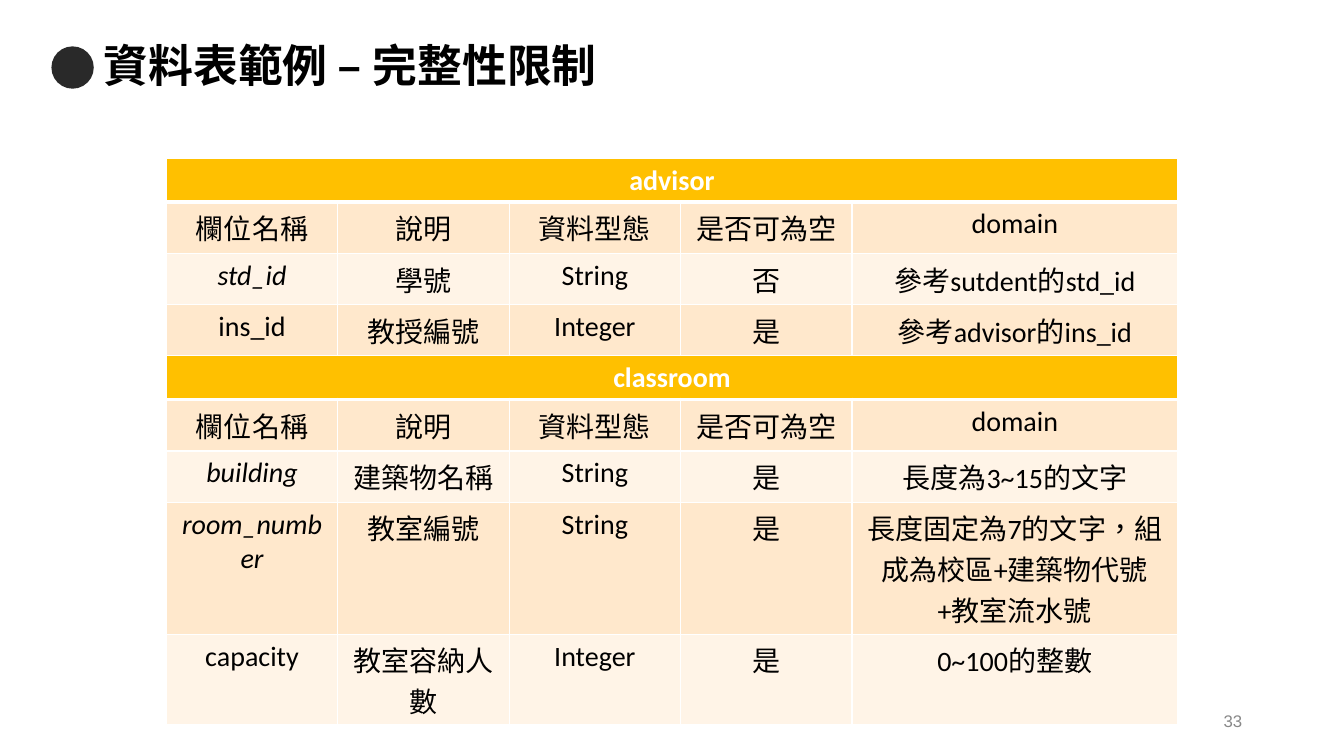
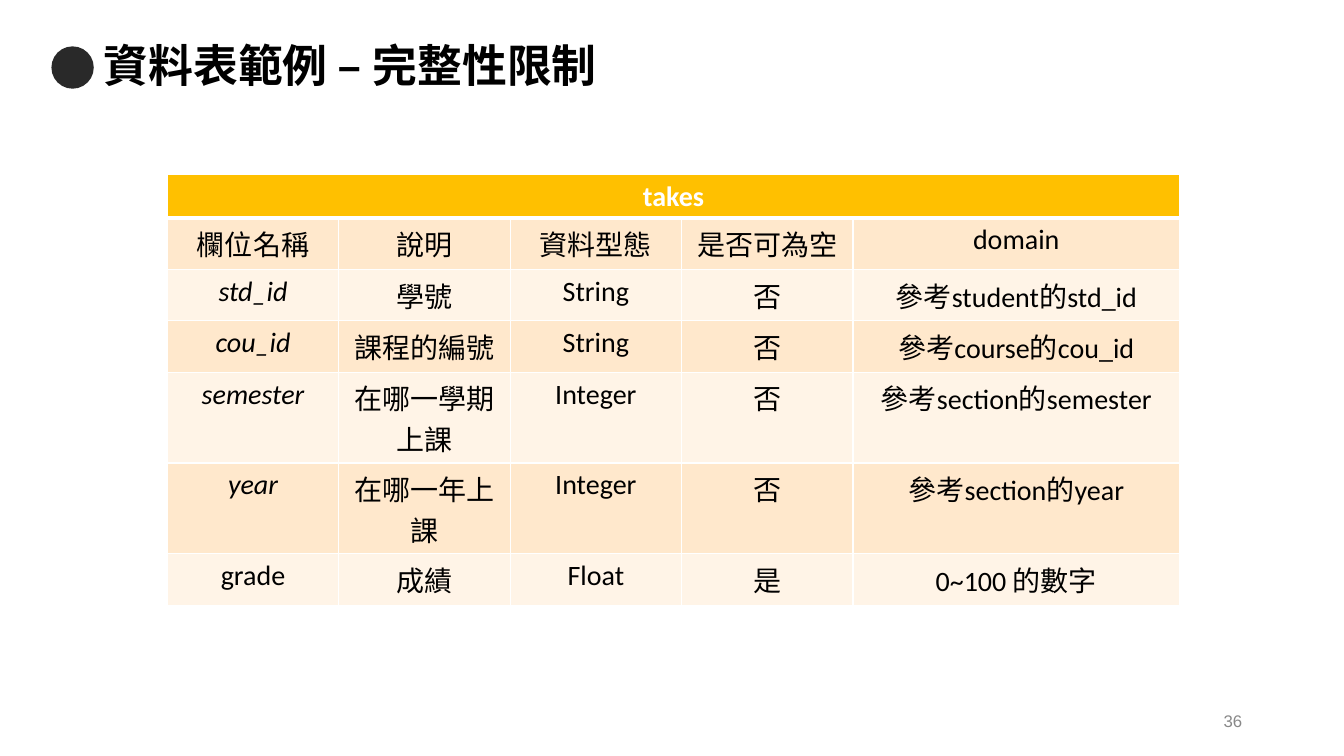
from dataclasses import dataclass

import lxml.etree
import pptx
import pptx.dml.color
import pptx.enum.lang
import pptx.enum.shapes
import pptx.enum.text
import pptx.oxml.ns
import pptx.util

Inches = pptx.util.Inches
Pt = pptx.util.Pt
Align = pptx.enum.text.PP_ALIGN

COLORS = {
    "bullet": "292929",
    "text": "000000",
    "number": "888888",
    "white": "FFFFFF",
    "header": "FFC000",
    "band_dark": "FFE8CC",
    "band_light": "FFF4E7",
}
TITLE = "資料表範例 – 完整性限制"
HEADINGS = ("欄位名稱", "說明", "資料型態", "是否可為空", "domain")
NARROW_COLUMN = 1.7
HEADER_HEIGHT = 0.43
HEIGHT_BY_LINES = {1: 0.51, 2: 0.9, 3: 1.31}


@dataclass(frozen=True)
class Field:
    name: str
    meaning: str
    data_type: str
    nullable: str
    domain: str
    is_key: bool = False
    lines: int = 1

    def texts(self) -> tuple[str, ...]:
        return self.name, self.meaning, self.data_type, self.nullable, self.domain


@dataclass(frozen=True)
class Schema:
    name: str
    left: float
    top: float
    domain_width: float
    fields: tuple[Field, ...]


@dataclass(frozen=True)
class Page:
    number: int
    schemas: tuple[Schema, ...]


PAGES = (
    Page(33, (
        Schema("advisor", 1.65, 1.57, 3.23, (
            Field("std_id", "學號", "String", "否", "參考sutdent的std_id", True),
            Field("ins_id", "教授編號", "Integer", "是", "參考advisor的ins_id"),
        )),
        Schema("classroom", 1.65, 3.53, 3.23, (
            Field("building", "建築物名稱", "String", "是", "長度為3~15的文字", True),
            Field("room_number", "教室編號", "String", "是",
                  "長度固定為7的文字，組成為校區+建築物代號+教室流水號", True, lines=3),
            Field("capacity", "教室容納人數", "Integer", "是", "0~100的整數", lines=2),
        )),
    )),
    Page(36, (
        Schema("takes", 1.66, 1.73, 3.24, (
            Field("std_id", "學號", "String", "否", "參考student的std_id", True),
            Field("cou_id", "課程的編號", "String", "否", "參考course的cou_id", True),
            Field("semester", "在哪一學期上課", "Integer", "否", "參考section的semester",
                  True, lines=2),
            Field("year", "在哪一年上課", "Integer", "否", "參考section的year", True, lines=2),
            Field("grade", "成績", "Float", "是", "0~100 的數字"),
        )),
    )),
)


def rgb(name: str) -> pptx.dml.color.RGBColor:
    return pptx.dml.color.RGBColor.from_string(COLORS[name])


def write(frame, text: str, size: int, color: str, align: Align, face: str = "Calibri",
          bold: bool = False, italic: bool = False):
    para = frame.paragraphs[0]
    para.text = text
    para.alignment = align
    font = para.font
    font.name = face
    font.size = Pt(size)
    font.bold = bold
    font.italic = italic
    font.color.rgb = rgb(color)
    font.language_id = pptx.enum.lang.MSO_LANGUAGE_ID.TRADITIONAL_CHINESE
    return para


def add_text_box(slide, left: float, top: float, width: float, height: float):
    box = slide.shapes.add_textbox(Inches(left), Inches(top), Inches(width), Inches(height))
    frame = box.text_frame
    frame.word_wrap = True
    frame.vertical_anchor = pptx.enum.text.MSO_ANCHOR.MIDDLE
    return frame


def add_frame(slide, number: int) -> None:
    dot = slide.shapes.add_shape(pptx.enum.shapes.MSO_SHAPE.OVAL, Inches(0.51), Inches(0.46),
                                 Inches(0.42), Inches(0.42))
    dot.shadow.inherit = False
    dot.fill.solid()
    dot.fill.fore_color.rgb = rgb("bullet")
    dot.line.fill.background()
    title = write(add_text_box(slide, 0.93, 0.35, 11.49, 0.64), TITLE, 32, "text",
                  Align.LEFT, bold=True)
    title.line_spacing = 0.9
    write(add_text_box(slide, 9.42, 6.95, 3, 0.4), str(number), 12, "number",
          Align.RIGHT, face="Arial")


def set_borders(cell, top: int, bottom: int) -> None:
    qn = pptx.oxml.ns.qn
    properties = cell._tc.get_or_add_tcPr()
    for side, width in (("L", 1), ("R", 1), ("T", top), ("B", bottom)):
        line = lxml.etree.SubElement(properties, qn(f"a:ln{side}"), w=str(Pt(width)))
        fill = lxml.etree.SubElement(line, qn("a:solidFill"))
        lxml.etree.SubElement(fill, qn("a:srgbClr"), val=COLORS["white"])


def style_cell(cell, fill: str, top: int = 1, bottom: int = 1) -> None:
    set_borders(cell, top, bottom)
    cell.fill.solid()
    cell.fill.fore_color.rgb = rgb(fill)


def add_schema(slide, schema: Schema) -> None:
    widths = [NARROW_COLUMN] * (len(HEADINGS) - 1) + [schema.domain_width]
    rows = [(HEADINGS, False)] + [(field.texts(), field.is_key) for field in schema.fields]
    heights = [HEADER_HEIGHT, HEIGHT_BY_LINES[1]]
    heights += [HEIGHT_BY_LINES[field.lines] for field in schema.fields]
    table = slide.shapes.add_table(len(heights), len(widths), Inches(schema.left),
                                   Inches(schema.top), Inches(sum(widths)),
                                   Inches(sum(heights))).table
    for column, width in zip(table.columns, widths):
        column.width = Inches(width)
    for row, height in zip(table.rows, heights):
        row.height = Inches(height)

    for cell in table.rows[0].cells:
        style_cell(cell, "header", bottom=3)
    header = table.cell(0, 0)
    header.merge(table.cell(0, len(widths) - 1))
    write(header.text_frame, schema.name, 20, "white", Align.CENTER, bold=True)

    for row_index, (texts, is_key) in enumerate(rows, start=1):
        band = "band_dark" if row_index % 2 else "band_light"
        for column_index, text in enumerate(texts):
            cell = table.cell(row_index, column_index)
            style_cell(cell, band, top=3 if row_index == 1 else 1)
            write(cell.text_frame, text, 20, "text", Align.CENTER,
                  italic=is_key and column_index == 0)


def main() -> None:
    deck = pptx.Presentation()
    deck.slide_width = Inches(13.33)
    deck.slide_height = Inches(7.5)
    for page in PAGES:
        slide = deck.slides.add_slide(deck.slide_layouts[6])
        add_frame(slide, page.number)
        for schema in page.schemas:
            add_schema(slide, schema)
    deck.save("out.pptx")


if __name__ == "__main__":
    main()
